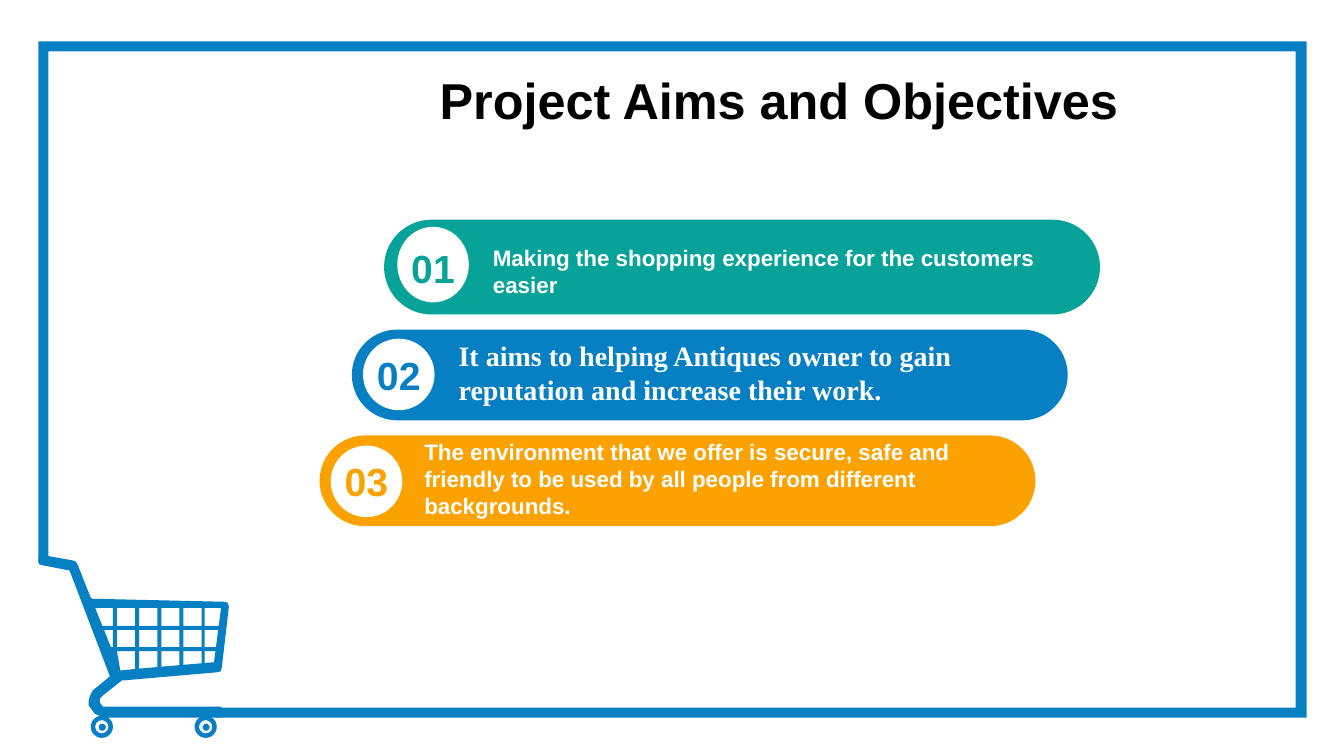
from itertools import product

from pptx import Presentation
from pptx.dml.color import RGBColor
from pptx.enum.shapes import MSO_SHAPE
from pptx.enum.text import MSO_ANCHOR, PP_ALIGN
from pptx.util import Inches, Pt

COLORS = {"teal": "07A398", "blue": "0680C3", "orange": "FBA200",
          "white": "FFFFFF", "black": "000000"}

FRAME = [(0.38, 0.41), (12.96, 0.41), (12.96, 7.12), (2.14, 7.12), (2.14, 7.02),
         (12.85, 7.02), (12.85, 0.51), (0.48, 0.51), (0.48, 5.58), (0.38, 5.58)]

# Handle, basket rim, underside, then the base rail and back up the handle
CART = [(0.38, 5.55), (0.39, 5.52), (0.42, 5.51), (0.44, 5.51), (0.72, 5.56),
        (0.75, 5.57), (0.77, 5.6), (0.9, 5.93), (0.91, 5.94), (2.22, 5.97),
        (2.26, 5.98), (2.27, 6.02), (2.2, 6.62), (2.19, 6.66), (2.15, 6.67),
        (1.23, 6.75), (1.21, 6.75), (1.02, 6.9), (0.99, 6.93), (0.99, 6.97),
        (1.02, 7.01), (2.18, 7.01), (2.22, 7.03), (2.23, 7.07), (2.22, 7.11),
        (2.19, 7.12), (1.07, 7.12), (0.98, 7.1), (0.94, 7.08), (0.91, 7.04),
        (0.88, 7), (0.88, 6.95), (0.89, 6.91), (0.92, 6.85), (0.97, 6.81),
        (1.09, 6.71), (0.69, 5.66), (0.43, 5.61), (0.39, 5.6), (0.38, 5.57)]

# Pill left, top, height; badge top, height; number top; text box; font; size
AIMS = [
    ("teal", (3.81, 2.18, 0.94), (3.94, 2.25, 0.75), 2.37, (4.79, 2.37, 5.89, 0.64),
     "Making the shopping experience for the customers easier", "Arial", 16),
    ("blue", (3.49, 3.27, 0.9), (3.6, 3.36, 0.71), 3.44, (4.45, 3.31, 6.23, 0.77),
     "It aims to helping Antiques owner to gain reputation and increase their work.",
     "Times New Roman", 20),
    ("orange", (3.17, 4.32, 0.9), (3.28, 4.42, 0.71), 4.49, (4.11, 4.29, 6.23, 0.91),
     "The environment that we offer is secure, safe and friendly to be used by "
     "all people from different backgrounds.", "Arial", 16),
]


def paint(shape, color):
    shape.shadow.inherit = False
    shape.fill.solid()
    shape.fill.fore_color.rgb = RGBColor.from_string(COLORS[color])
    shape.line.fill.background()


def add_preset(slide, kind, box, color, adjustment=None):
    shape = slide.shapes.add_shape(kind, *map(Inches, box))
    if adjustment is not None:
        shape.adjustments[0] = adjustment
    paint(shape, color)


def add_outline(slide, contours, color):
    """Draw closed contours as one shape; the inner ones become holes."""
    contours = [[(Inches(x), Inches(y)) for x, y in points] for points in contours]
    builder = slide.shapes.build_freeform(*contours[0][0])
    builder.add_line_segments(contours[0][1:], close=True)
    for points in contours[1:]:
        builder.move_to(*points[0])
        builder.add_line_segments(points[1:], close=True)
    paint(builder.convert_to_shape(), color)


def add_label(slide, box, text, size, color, font="Arial",
              align=PP_ALIGN.LEFT, anchor=MSO_ANCHOR.TOP, inset=0.1):
    frame = slide.shapes.add_textbox(*map(Inches, box)).text_frame
    frame.word_wrap = True
    frame.vertical_anchor = anchor
    frame.margin_left = frame.margin_right = Inches(inset)
    frame.text = text
    paragraph = frame.paragraphs[0]
    paragraph.alignment = align
    letters = paragraph.runs[0].font
    letters.name, letters.size, letters.bold = font, Pt(size), True
    letters.color.rgb = RGBColor.from_string(COLORS[color])


def basket_panes():
    """Openings of the basket: a 6 by 3 grid cut by its slanted sides."""
    columns = [(0.94 + 0.22 * i, 1.12 + 0.22 * i) for i in range(6)]
    rows = [(6.03, 6.21), (6.25, 6.42), (6.46, None)]
    panes = []
    for (left, right), (top, bottom) in product(columns, rows):
        def corner(x, y):
            slant_left = 0.94 + 0.4 * (y - 6.02)
            slant_right = 2.19 - 0.13 * (y - 6.05)
            return max(slant_left, min(x, slant_right)), y
        if right < 1.15 and bottom is None:
            continue  # the slanted side closes this corner
        if right > 2.15:
            left, right = 2.03, 2.3
        floor = [bottom or 6.65 - 0.086 * (min(x, 2.12) - 1.19) for x in (left, right)]
        panes.append([corner(left, top), corner(right, top),
                      corner(right, floor[1]), corner(left, floor[0])])
    return panes


def add_cart(slide):
    add_outline(slide, [CART] + basket_panes(), "blue")
    for center in (1.01, 2.04):
        add_preset(slide, MSO_SHAPE.DONUT, (center - 0.11, 7.1, 0.22, 0.22), "blue", 0.2)
        add_preset(slide, MSO_SHAPE.OVAL, (center - 0.03, 7.18, 0.07, 0.07), "blue")


def add_aim(slide, number, aim):
    color, pill, badge, number_top, text_box, text, font, size = aim
    left, top, height = pill
    add_preset(slide, MSO_SHAPE.ROUNDED_RECTANGLE, (left, top, 7.1, height), color, 0.5)
    left, top, height = badge
    add_preset(slide, MSO_SHAPE.OVAL, (left, top, 0.71, height), "white")
    add_label(slide, (left - 0.01, number_top, 0.73, 0.57), f"{number:02}", 28, color,
              align=PP_ALIGN.CENTER)
    add_label(slide, text_box, text, size, "white", font, anchor=MSO_ANCHOR.MIDDLE)


def main():
    deck = Presentation()
    deck.slide_width, deck.slide_height = Inches(13.33), Inches(7.5)
    slide = deck.slides.add_slide(deck.slide_layouts[6])

    # Border with the shopping cart
    add_cart(slide)
    add_outline(slide, [FRAME], "blue")

    # Title and numbered aims
    add_label(slide, (4.24, 0.64, 8.09, 0.75), "Project Aims and Objectives", 36, "black",
              inset=0.12)
    for number, aim in enumerate(AIMS, start=1):
        add_aim(slide, number, aim)

    deck.save("out.pptx")


if __name__ == "__main__":
    main()
